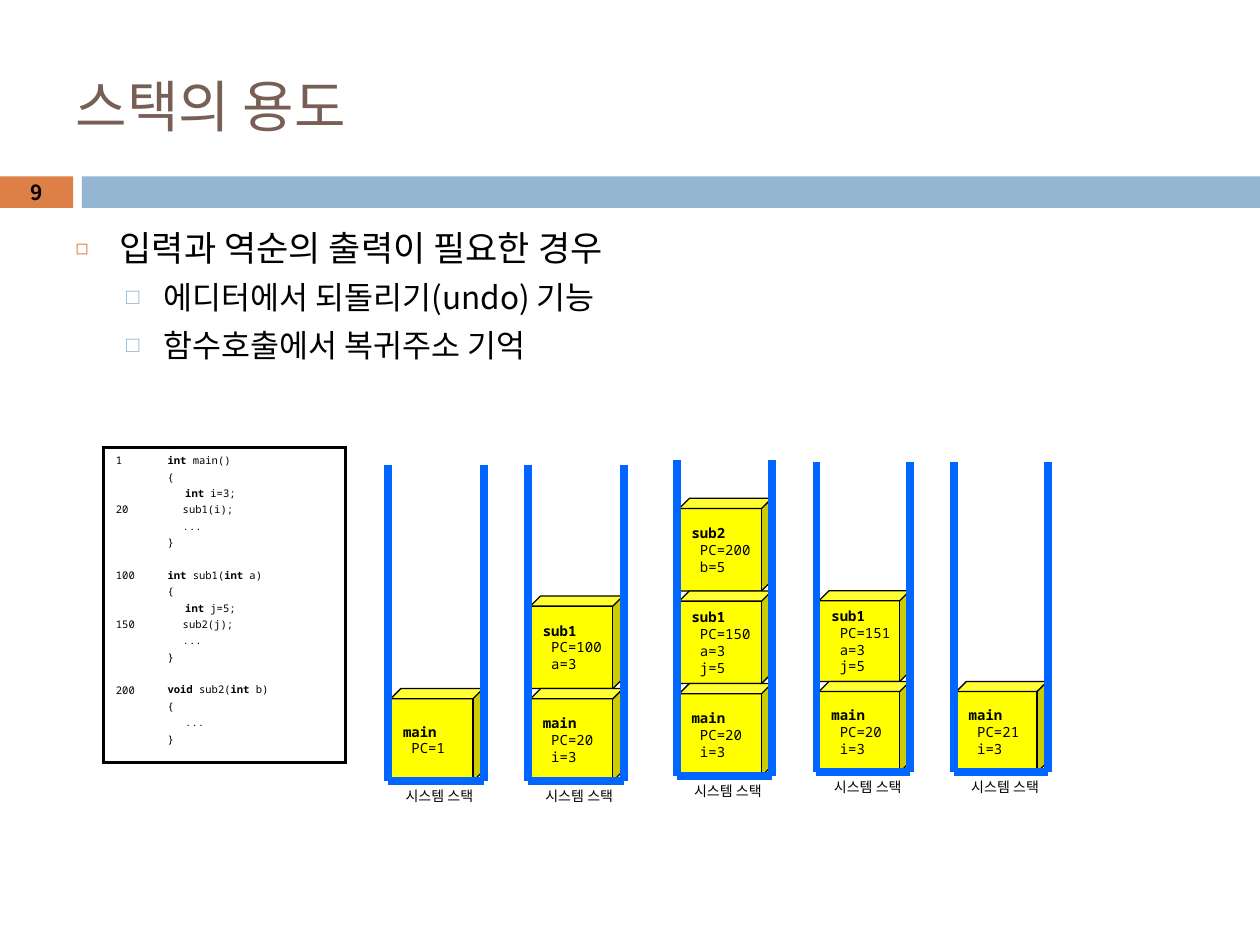
"""Build a slide on the uses of a stack, with the call stack of a small program."""
from dataclasses import dataclass
from lxml.etree import SubElement
from pptx import Presentation
from pptx.dml.color import RGBColor
from pptx.enum.shapes import MSO_CONNECTOR, MSO_SHAPE
from pptx.enum.text import MSO_ANCHOR, MSO_AUTO_SIZE, PP_ALIGN
from pptx.oxml.ns import qn
from pptx.slide import Slide
from pptx.util import Inches, Pt

COLORS = {
    "ink": "000000",
    "title": "775F55",
    "orange": "DD8047",
    "blue": "94B6D2",
    "cube": "FFFF00",
    "wall": "0066FF",
}
KOREAN, MONO = "Noto Sans CJK KR", "Noto Sans Mono"
LINE_GAP, LINE_PITCH = 1.2, 9.37

BULLETS = [
    ("입력과 역순의 출력이 필요한 경우", 0),
    ("에디터에서 되돌리기(undo) 기능", 1),
    ("함수호출에서 복귀주소 기억", 1),
]
LEVELS = [
    dict(size=20, before=7, left=0.35, hang=0.35, char="◻", color="orange", percent=60),
    dict(size=18, before=5.5, left=0.7, hang=0.3, char="□", color="blue", percent=70),
]
NUMBERS = [("1", 0, 0), ("20", 2, 0), ("100", 3, 0), ("150", 2, 0), ("200", 3, 0)]
CODE = [
    ("*int* main()", 0, 0),
    ("{", 0, 0),
    ("*int* i=3;", 0, 0.14),
    ("sub1(i);", 0, 0.12),
    ("...", 0, 0.12),
    ("}", 0, 0),
    ("*int* sub1(*int* a)", 1, 0),
    ("{", 0, 0),
    ("*int* j=5;", 0, 0.14),
    ("sub2(j);", 0, 0.12),
    ("...", 0, 0.12),
    ("}", 0, 0),
    ("*void* sub2(*int* b)", 1, 0),
    ("{", 0, 0),
    ("...", 0, 0.14),
    ("}", 0, 0),
]
MAIN_CALLING = ["*main*", " PC=20", " i=3"]
STACKS = [
    (3.08, 6.2, 1, [["*main*", " PC=1"]]),
    (4.19, 6.2, 1, [MAIN_CALLING, ["*sub1*", " PC=100", " a=3"]]),
    (5.37, 6.16, 1, [MAIN_CALLING, ["*sub1*", " PC=150", " a=3", " j=5"],
                     ["*sub2*", " PC=200", " b=5"]]),
    (6.48, 6.13, 0.98, [MAIN_CALLING, ["*sub1*", " PC=151", " a=3", " j=5"]]),
    (7.57, 6.13, 0.98, [["*main*", " PC=21", " i=3"]]),
]


def rgb(name):
    """Return the named colour."""
    return RGBColor.from_string(COLORS[name])


@dataclass
class SlideBuilder:
    """Hold the current slide and the shared style."""
    page: Slide
    font: str = KOREAN
    color: str = "ink"

    def fill_text(self, frame, lines, size, font=None, color=None, align=PP_ALIGN.LEFT, **layout):
        """Fill a text frame, with the parts between asterisks in bold."""
        for name, value in layout.items():
            setattr(frame, name, value)
        for index, line in enumerate(lines):
            para = frame.add_paragraph() if index else frame.paragraphs[0]
            para.alignment = align
            for order, part in enumerate(line.split("*")):
                if not part:
                    continue
                span = para.add_run()
                span.text = part
                formats = dict(size=Pt(size), name=font or self.font, bold=order % 2 == 1)
                for name, value in formats.items():
                    setattr(span.font, name, value)
                span.font.color.rgb = rgb(color or self.color)
                SubElement(span._r.get_or_add_rPr(), qn("a:ea"), typeface=font or self.font)
        return frame.paragraphs

    def place(self, box, left, top, width, height):
        """Move and size a shape."""
        for name, value in dict(left=left, top=top, width=width, height=height).items():
            setattr(box, name, Inches(value))

    def title(self, text, *area):
        """Fill the title placeholder."""
        box = self.page.shapes.title
        self.place(box, *area)
        self.fill_text(box.text_frame, [text], 32, color="title",
                       vertical_anchor=MSO_ANCHOR.MIDDLE, auto_size=MSO_AUTO_SIZE.NONE)

    def bullets(self, items, *area):
        """Fill the body placeholder with a two-level list."""
        box = self.page.placeholders[1]
        self.place(box, *area)
        paras = self.fill_text(box.text_frame, [text for text, _ in items], 18,
                               auto_size=MSO_AUTO_SIZE.NONE)
        for para, (_, level) in zip(paras, items):
            style = LEVELS[level]
            para.level = level
            para.space_before = Pt(style["before"])
            para.runs[0].font.size = Pt(style["size"])
            props = para._p.get_or_add_pPr()
            props.set("marL", str(Inches(style["left"])))
            props.set("indent", str(-Inches(style["hang"])))
            tint = SubElement(props, qn("a:buClr"))
            SubElement(tint, qn("a:srgbClr"), val=COLORS[style["color"]])
            SubElement(props, qn("a:buSzPct"), val=str(style["percent"] * 1000))
            SubElement(props, qn("a:buChar"), char=style["char"])

    def shape(self, kind, fill, *area, line=None, parent=None):
        """Add a filled preset shape."""
        box = (parent or self.page).shapes.add_shape(kind, *map(Inches, area))
        box.shadow.inherit = False
        box.fill.solid()
        box.fill.fore_color.rgb = rgb(fill)
        if line:
            box.line.color.rgb = rgb(line)
            box.line.width = Pt(0.75)
        else:
            box.line.fill.background()
        return box

    def label(self, text, size, *area, parent=None, **layout):
        """Add a text box."""
        box = (parent or self.page).shapes.add_textbox(*map(Inches, area))
        self.fill_text(box.text_frame, [text], size, word_wrap=True, **layout)

    def wall(self, parent, *ends):
        """Add one thick side of a stack."""
        line = parent.shapes.add_connector(MSO_CONNECTOR.STRAIGHT, *map(Inches, ends))
        line.line.color.rgb = rgb("wall")
        line.line.width = Pt(4.5)
        SubElement(line._element.spPr, qn("a:effectLst"))

    def listing(self, columns, widths, *area):
        """Add the framed program listing."""
        table = self.page.shapes.add_table(1, len(columns), *map(Inches, area)).table
        table.first_row = table.horz_banding = False
        for index, (lines, width) in enumerate(zip(columns, widths)):
            table.columns[index].width = Inches(width)
            cell = table.cell(0, index)
            paras = self.fill_text(cell.text_frame, [line[0] for line in lines], 6, MONO)
            for para, (_, skipped, indent) in zip(paras, lines):
                para.space_before = Pt(LINE_GAP + skipped * LINE_PITCH)
                para._p.get_or_add_pPr().set("marL", str(Inches(indent)))
            self.borders(cell, "LTB" if index == 0 else "RTB")
            cell.fill.background()

    def borders(self, cell, sides):
        """Draw the given sides of a cell and clear the others."""
        props = cell._tc.get_or_add_tcPr()
        for side in "LRTB":
            edge = SubElement(props, qn(f"a:ln{side}"), w=str(Pt(2.25)))
            if side in sides:
                fill = SubElement(edge, qn("a:solidFill"))
                SubElement(fill, qn("a:srgbClr"), val=COLORS["ink"])
            else:
                SubElement(edge, qn("a:noFill"))

    def stack(self, left, base, scale, frames):
        """Add a labelled stack of call frames, listed from the bottom up."""
        group = self.page.shapes.add_group_shape()
        side, width, height = 0.735 * scale, 0.76 * scale, 2.51 * scale
        right, top = left + width, base - height
        for level, lines in reversed(list(enumerate(frames, 1))):
            cube = self.shape(MSO_SHAPE.CUBE, "cube", left + 0.02, base - level * side,
                              side, side, line="ink", parent=group)
            cube.adjustments[0] = 0.11
            self.fill_text(cube.text_frame, lines, 8, MONO, word_wrap=False,
                           vertical_anchor=MSO_ANCHOR.MIDDLE)
        self.wall(group, left, top, left, base)
        self.wall(group, left, base, right, base)
        self.wall(group, right, base, right, top)
        self.label("시스템 스택", 8, left + 0.04, base, 0.85, 0.23, parent=group)


def main():
    """Build and save the deck."""
    deck = Presentation()
    deck.slide_width, deck.slide_height = Inches(10), Inches(7.5)
    builder = SlideBuilder(deck.slides.add_slide(deck.slide_layouts[1]))
    builder.shape(MSO_SHAPE.RECTANGLE, "orange", 0, 1.4, 0.58, 0.25)
    builder.shape(MSO_SHAPE.RECTANGLE, "blue", 0.65, 1.4, 9.35, 0.25)
    builder.title("스택의 용도", 0.5, 0.21, 9, 1.25)
    builder.bullets(BULLETS, 0.5, 1.75, 8.09, 1.9)
    builder.listing([NUMBERS, CODE], [0.41, 1.51], 0.82, 3.55, 1.92, 2.5)
    for stack in STACKS:
        builder.stack(*stack)
    builder.label("*9*", 11.9, 0, 1.39, 0.58, 0.27, align=PP_ALIGN.CENTER,
                  vertical_anchor=MSO_ANCHOR.MIDDLE)
    deck.save("out.pptx")


if __name__ == "__main__":
    main()
